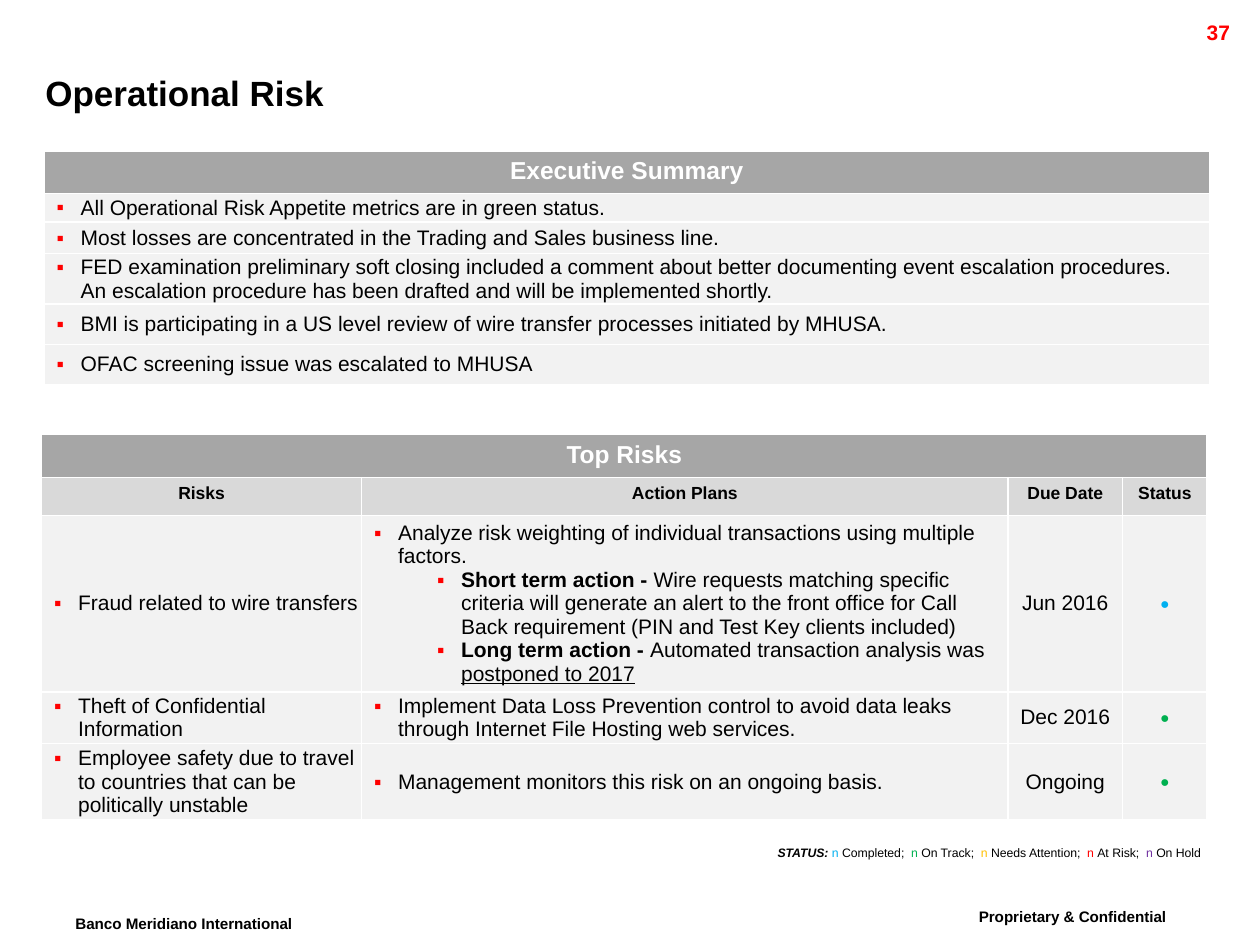
from collections import namedtuple
from lxml.etree import SubElement
from pptx import Presentation
from pptx.dml.color import RGBColor
from pptx.enum.text import MSO_ANCHOR, MSO_AUTO_SIZE, PP_ALIGN
from pptx.oxml.ns import qn
from pptx.util import Inches, Pt

BLACK = RGBColor(0x00, 0x00, 0x00)
WHITE = RGBColor(0xFF, 0xFF, 0xFF)
RED = RGBColor(0xFF, 0x00, 0x00)
BLUE = RGBColor(0x00, 0xB0, 0xF0)
GREEN = RGBColor(0x00, 0xB0, 0x50)
AMBER = RGBColor(0xFF, 0xC0, 0x00)
PURPLE = RGBColor(0x70, 0x30, 0xA0)
BANNER_FILL = RGBColor(0xA6, 0xA6, 0xA6)
HEADING_FILL = RGBColor(0xD9, 0xD9, 0xD9)
BODY_FILL = RGBColor(0xF2, 0xF2, 0xF2)

GRID_COLUMNS, GRID_ROWS = 100, 75
BULLET_INDENT = 1.9
LEVEL_INDENT = 5

Box = namedtuple("Box", "left top width height")
Run = namedtuple("Run", "text font", defaults=({},))
Bullet = namedtuple("Bullet", "runs level", defaults=(0,))

BANNER = {"size": Pt(14), "bold": True, "color": WHITE}
HEADING = {"size": Pt(10), "bold": True}
BODY = {"size": Pt(12), "bold": False}
BOLD = {"bold": True}

SUMMARY = [
    "All Operational Risk Appetite metrics are in green status.",
    "Most losses are concentrated in the Trading and Sales business line.",
    "FED examination preliminary soft closing included a comment about better documenting event "
    "escalation procedures. An escalation procedure has been drafted and will be implemented shortly.",
    "BMI is participating in a US level review of wire transfer processes initiated by MHUSA.",
    "OFAC screening issue was escalated to MHUSA",
]
HEADINGS = ["Risks", "Action Plans", "Due Date", "Status"]
RISKS = [
    ("Fraud related to wire transfers", [
        Bullet([Run("Analyze risk weighting of individual transactions using multiple factors.")]),
        Bullet([Run("Short term action -", BOLD),
                Run(" Wire requests matching specific criteria will generate an alert to the front "
                    "office for Call Back requirement (PIN and Test Key clients included)")], 1),
        Bullet([Run("Long term action - ", BOLD), Run("Automated transaction analysis was "),
                Run("postponed to 2017", {"underline": True})], 1),
    ], "Jun 2016", BLUE),
    ("Theft of Confidential Information", [
        Bullet([Run("Implement Data Loss Prevention control to avoid data leaks through Internet "
                    "File Hosting web services.")]),
    ], "Dec 2016", GREEN),
    ("Employee safety due to travel to countries that can be politically unstable", [
        Bullet([Run("Management monitors this risk on an ongoing basis.")]),
    ], "Ongoing", GREEN),
]
LEGEND = [("Completed;  ", BLUE), ("On Track;  ", GREEN), ("Needs Attention;  ", AMBER),
          ("At Risk;  ", RED), ("On Hold", PURPLE)]


def grid(length):
    """Convert grid units to a slide length."""
    return Inches(length * 10 / GRID_COLUMNS)


def assign(target, values):
    """Set each attribute named in a dict."""
    for name, value in values.items():
        setattr(target, name, value)


def add_run(paragraph, text, values):
    """Append a run of Arial text with the given format."""
    run = paragraph.add_run()
    run.text = text
    values = {"name": "Arial", "color": BLACK, **values}
    run.font.color.rgb = values.pop("color")
    assign(run.font, values)
    return run


def add_bullet(paragraph, level):
    """Give a paragraph a red square bullet with a hanging indent."""
    properties = paragraph._p.get_or_add_pPr()
    properties.set("marL", str(grid(BULLET_INDENT + level * LEVEL_INDENT)))
    properties.set("indent", str(-grid(BULLET_INDENT)))
    color = SubElement(properties, qn("a:buClr"))
    SubElement(color, qn("a:srgbClr"), val=str(RED))
    SubElement(properties, qn("a:buFont"), typeface="Arial")
    SubElement(properties, qn("a:buChar"), char="▪")
    paragraph.level = level


def fill_cell(cell, color, margins=None):
    """Fill a cell and, for body cells, centre it between narrow side margins."""
    cell.fill.solid()
    cell.fill.fore_color.rgb = color
    if margins:
        left, right = margins
        assign(cell, {"vertical_anchor": MSO_ANCHOR.MIDDLE, "margin_top": 0, "margin_bottom": 0,
                      "margin_left": grid(left), "margin_right": grid(right)})


def centre_cell(cell, text, font, color, margins=None):
    """Write one centred line in a cell."""
    fill_cell(cell, color, margins)
    paragraph = cell.text_frame.paragraphs[0]
    paragraph.alignment = PP_ALIGN.CENTER
    add_run(paragraph, text, font)


def bullet_cell(cell, bullets, margins, space_after=0):
    """Write a list of bullets in a cell."""
    fill_cell(cell, BODY_FILL, margins)
    frame = cell.text_frame
    for index, bullet in enumerate(bullets):
        paragraph = frame.add_paragraph() if index else frame.paragraphs[0]
        add_bullet(paragraph, bullet.level)
        paragraph.space_after = Pt(space_after)
        for run in bullet.runs:
            add_run(paragraph, run.text, {**BODY, **run.font})


def add_grid_table(slide, box, widths, heights, banner):
    """Add a table with a banner across its first row."""
    table = slide.shapes.add_table(len(heights), len(widths), *map(grid, box)).table
    table.horz_banding = False
    for column, width in zip(table.columns, widths):
        column.width = grid(width)
    for row, height in zip(table.rows, heights):
        row.height = grid(height)
    if len(widths) > 1:
        table.cell(0, 0).merge(table.cell(0, len(widths) - 1))
    centre_cell(table.cell(0, 0), banner, BANNER, BANNER_FILL)
    return table


def add_summary(slide, box):
    """Place the executive summary table."""
    heights = [3.3, 2.3, 2.5, 4, 3.2, 3.2]
    table = add_grid_table(slide, box, [box.width], heights, "Executive Summary")
    for row, text in enumerate(SUMMARY, 1):
        bullet_cell(table.cell(row, 0), [Bullet([Run(text)])], (1, 1), 6)


def add_risks(slide, box):
    """Place the top risks table."""
    widths = [25.4, 51.3, 9.1, box.width - 85.8]
    table = add_grid_table(slide, box, widths, [3.4, 3, 14, 4.1, 6.1], "Top Risks")
    for column, text in enumerate(HEADINGS):
        centre_cell(table.cell(1, column), text, HEADING, HEADING_FILL)
    for row, (risk, plans, due, status) in enumerate(RISKS, 2):
        bullet_cell(table.cell(row, 0), [Bullet([Run(risk)])], (1, 0))
        bullet_cell(table.cell(row, 1), plans, (1, 0.1))
        centre_cell(table.cell(row, 2), due, BODY, BODY_FILL, (0.1, 0.1))
        centre_cell(table.cell(row, 3), "●", {"size": Pt(9), "bold": False, "color": status},
                    BODY_FILL, (0, 0))


def add_text(slide, box, runs, alignment=PP_ALIGN.LEFT, wrap=True):
    """Place one line of text and return its runs."""
    frame = slide.shapes.add_textbox(*map(grid, box)).text_frame
    frame.word_wrap = wrap
    paragraph = frame.paragraphs[0]
    paragraph.alignment = alignment
    return [add_run(paragraph, run.text, run.font) for run in runs]


def add_legend(slide, box):
    """Place the key to the status colours."""
    small = {"size": Pt(7)}
    runs = [Run("STATUS: ", {**small, "bold": True, "italic": True})]
    for label, color in LEGEND:
        runs += [Run("n ", {**small, "color": color}), Run(label, small)]
    add_text(slide, box, runs, PP_ALIGN.RIGHT)


def add_footer(slide, box, text, wrap):
    """Place a raised footer line."""
    for run in add_text(slide, box, [Run(text, {"size": Pt(15), "bold": True})], wrap=wrap):
        run.font._element.set("baseline", "30000")


def add_title(slide, box, text):
    """Move and format the title placeholder."""
    title = slide.shapes.title
    assign(title, dict(zip(box._fields, map(grid, box))))
    frame = title.text_frame
    assign(frame, {"margin_left": 0, "margin_right": 0, "margin_top": 0, "margin_bottom": 0,
                   "vertical_anchor": MSO_ANCHOR.MIDDLE, "auto_size": MSO_AUTO_SIZE.NONE})
    frame.paragraphs[0].alignment = PP_ALIGN.LEFT
    add_run(frame.paragraphs[0], text, {"size": Pt(20), "bold": True})


def main():
    """Build and save the operational risk slide."""
    presentation = Presentation()
    assign(presentation, {"slide_width": grid(GRID_COLUMNS), "slide_height": grid(GRID_ROWS)})
    slide = presentation.slides.add_slide(presentation.slide_layouts[5])
    add_title(slide, Box(3.6, 4.9, 90.2, 4.8), "Operational Risk")
    add_text(slide, Box(89.1, 1.1, 9.5, 2.4),
             [Run("37", {"size": Pt(12), "bold": True, "color": RED})], PP_ALIGN.RIGHT)
    add_summary(slide, Box(3.5, 12, 92.5, 18.5))
    add_risks(slide, Box(3.3, 34.5, 92.5, 30.6))
    add_legend(slide, Box(53.7, 66.6, 42.6, 2.2))
    add_footer(slide, Box(5, 71.8, 22.3, 3.5), "Banco Meridiano International", False)
    add_footer(slide, Box(76.7, 71.3, 21.8, 3.5), "Proprietary & Confidential", True)
    presentation.save("out.pptx")


if __name__ == "__main__":
    main()
